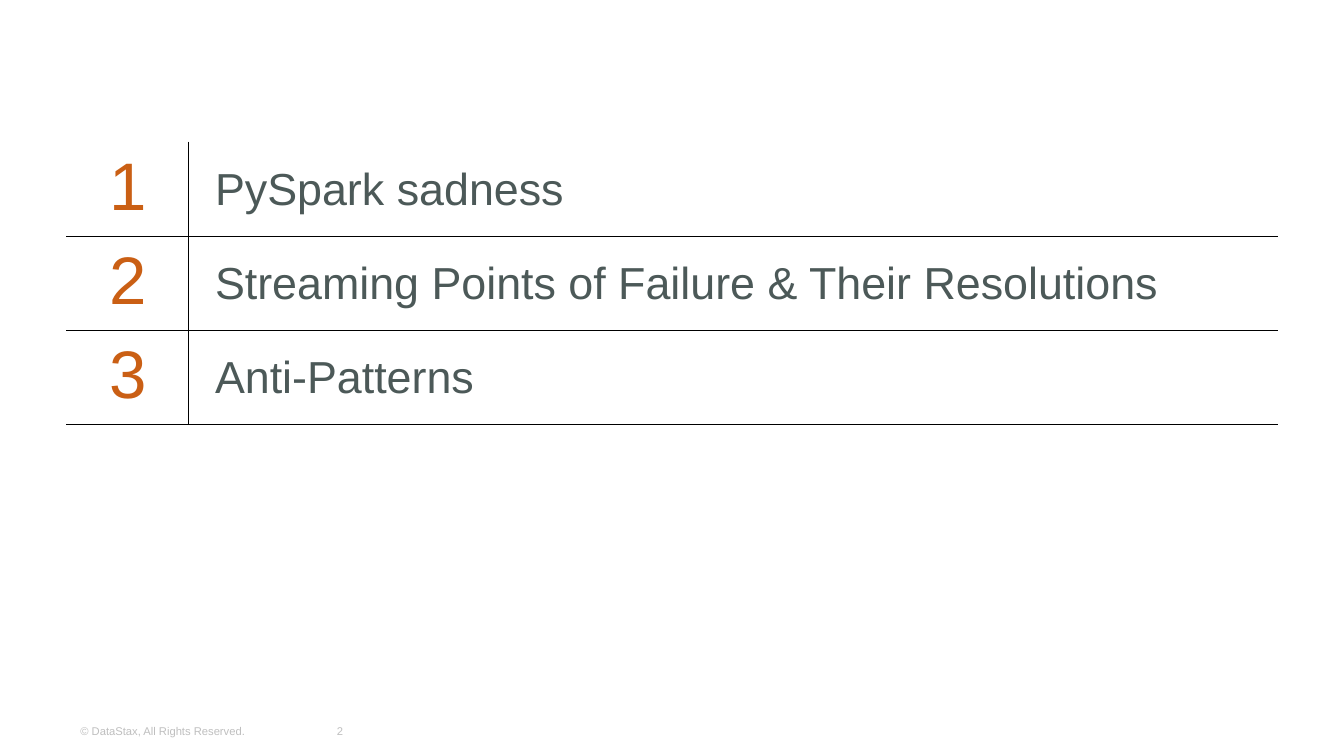
from lxml.etree import SubElement
from pptx import Presentation
from pptx.dml.color import RGBColor
from pptx.enum.text import MSO_ANCHOR as Anchor, PP_ALIGN as Align
from pptx.oxml.ns import qn
from pptx.util import Inches, Pt

COLORS = {"number": "CA5F14", "topic": "4C5958", "footer": "BFBFBF", "rule": "000000"}
TOPICS = [
    "PySpark sadness",
    "Streaming Points of Failure & Their Resolutions",
    "Anti-Patterns",
]


def write(frame, text, size, color, align=Align.LEFT):
    frame.text = text
    paragraph = frame.paragraphs[0]
    paragraph.alignment = align
    font = paragraph.runs[0].font
    font.name = "Arial"
    font.size = Pt(size)
    font.color.rgb = RGBColor.from_string(COLORS[color])


def add_rules(cell, sides):
    properties = cell._tc.get_or_add_tcPr()
    for side in sides:
        line = SubElement(properties, qn(f"a:ln{side}"), w=str(Pt(0.25)))
        fill = SubElement(line, qn("a:solidFill"))
        SubElement(fill, qn("a:srgbClr"), val=COLORS["rule"])


prs = Presentation()
prs.slide_width = Inches(10)
prs.slide_height = Inches(10) * 9 // 16
slide = prs.slides.add_slide(prs.slide_layouts[6])

agenda = slide.shapes.add_table(
    len(TOPICS), 2, Inches(0.5), Inches(1.06), Inches(9), Inches(2.1)
).table
agenda.first_row = False
agenda.horz_banding = False
agenda.columns[0].width = Inches(0.9)
agenda.columns[1].width = Inches(8.1)

for index, topic in enumerate(TOPICS):
    agenda.rows[index].height = Inches(0.7)
    number_cell, topic_cell = agenda.rows[index].cells
    write(number_cell.text_frame, str(index + 1), 36, "number", Align.CENTER)
    write(topic_cell.text_frame, topic, 24, "topic")
    topic_cell.vertical_anchor = Anchor.MIDDLE
    topic_cell.margin_left = Inches(0.2)
    above = "T" if index else ""
    add_rules(number_cell, "R" + above + "B")
    add_rules(topic_cell, "L" + above + "B")
    number_cell.fill.background()
    topic_cell.fill.background()

for text, left, width, align in [
    ("2", 2.31, 0.44, Align.CENTER),
    ("© DataStax, All Rights Reserved.", 0.5, 1.74, Align.LEFT),
]:
    footer = slide.shapes.add_textbox(
        Inches(left), Inches(5.29), Inches(width), Inches(0.3)
    ).text_frame
    footer.word_wrap = True
    footer.vertical_anchor = Anchor.MIDDLE
    write(footer, text, 6, "footer", align)

prs.save("out.pptx")
